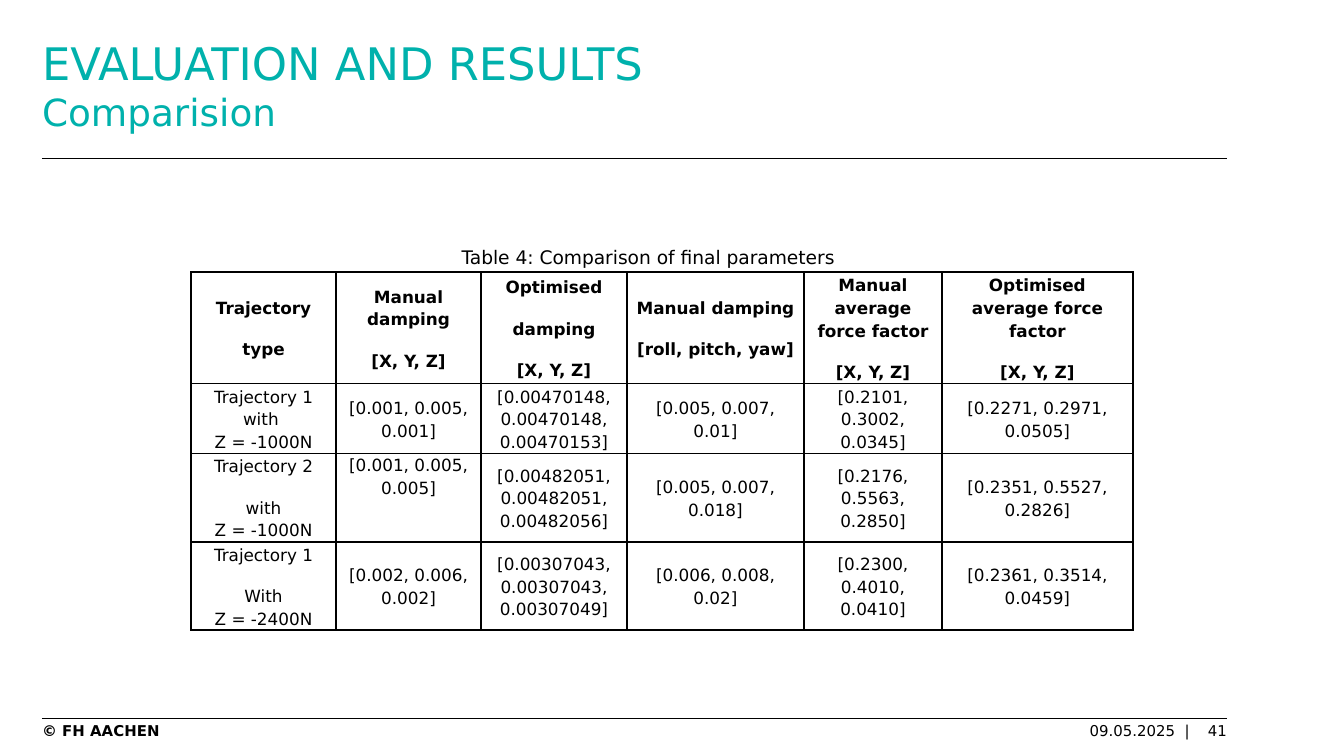
import pptx
import pptx.util
import pptx.dml.color
import pptx.enum.text
import pptx.enum.shapes
import pptx.oxml

PX = 6804
FACE = "DejaVu Sans"
TEAL = pptx.dml.color.RGBColor(0x00, 0xB1, 0xAC)
BLACK = pptx.dml.color.RGBColor(0x00, 0x00, 0x00)
ALIGN = pptx.enum.text.PP_ALIGN
ANCHOR = pptx.enum.text.MSO_ANCHOR
NS = "http://schemas.openxmlformats.org/drawingml/2006/main"


def style(font, size, color=BLACK, bold=False):
    font.name = FACE
    font.size = pptx.util.Pt(size)
    font.bold = bold
    font.color.rgb = color


def label(text, box, size, align, bold=False, inset=True):
    shape = slide.shapes.add_textbox(*[n * PX for n in box])
    frame = shape.text_frame
    frame.word_wrap = True
    if not inset:
        frame.margin_left = frame.margin_right = 0
        frame.margin_top = frame.margin_bottom = 0
    para = frame.paragraphs[0]
    para.text = text
    para.alignment = align
    style(para.font, size, bold=bold)


deck = pptx.Presentation()
deck.slide_width = 1344 * PX
deck.slide_height = 756 * PX
slide = deck.slides.add_slide(deck.slide_layouts[5])

for y in (158, 718):
    rule = slide.shapes.add_connector(
        pptx.enum.shapes.MSO_CONNECTOR.STRAIGHT, 42 * PX, y * PX, 1227 * PX, y * PX)
    rule.line.color.rgb = BLACK
    rule.line.width = pptx.util.Pt(0.5)
    rule._element.spPr.append(pptx.oxml.parse_xml(f'<a:effectLst xmlns:a="{NS}"/>'))

title = slide.shapes.title
title.left, title.top, title.width, title.height = [n * PX for n in (42, 32, 1185, 106)]
frame = title.text_frame
frame.margin_left = frame.margin_right = frame.margin_top = frame.margin_bottom = 0
frame.vertical_anchor = ANCHOR.MIDDLE
frame.word_wrap = True
frame.text = "EVALUATION AND RESULTS\vComparision"
frame.paragraphs[0].alignment = ALIGN.LEFT
for run, size in zip(frame.paragraphs[0].runs, (24, 20)):
    style(run.font, size, TEAL)

label("09.05.2025  |", (1073, 722, 117, 14), 8, ALIGN.RIGHT, inset=False)
label("41", (1183, 722, 44, 14), 8, ALIGN.RIGHT, inset=False)
label("© FH AACHEN", (42, 722, 843, 14), 8, ALIGN.LEFT, bold=True, inset=False)

data = [
    ["Trajectory\ntype", "Manual damping\n[X, Y, Z]", "Optimised\ndamping\n[X, Y, Z]",
     "Manual damping\n[roll, pitch, yaw]", "Manual average force factor\n[X, Y, Z]",
     "Optimised average force factor\n[X, Y, Z]"],
    ["Trajectory 1 with \vZ = -1000N", "[0.001, 0.005, 0.001]",
     "[0.00470148, 0.00470148, 0.00470153]", "[0.005, 0.007, 0.01]",
     "[0.2101, 0.3002, 0.0345]", "[0.2271, 0.2971, 0.0505]"],
    ["Trajectory 2\nwith\vZ = -1000N", "[0.001, 0.005, 0.005]",
     "[0.00482051, 0.00482051, 0.00482056]", "[0.005, 0.007, 0.018]",
     "[0.2176, 0.5563, 0.2850]", "[0.2351, 0.5527, 0.2826]"],
    ["Trajectory 1\nWith\vZ = -2400N", "[0.002, 0.006, 0.002]",
     "[0.00307043, 0.00307043, 0.00307049]", "[0.006, 0.008, 0.02]",
     "[0.2300, 0.4010, 0.0410]", "[0.2361, 0.3514, 0.0459]"],
]
cols = [145, 145, 146, 177, 138, 191]
rows = [109, 68, 87, 87]
table = slide.shapes.add_table(
    len(rows), len(cols), 191 * PX, 272 * PX, sum(cols) * PX, sum(rows) * PX).table
table.first_row = False
table.horz_banding = False
for col, width in zip(table.columns, cols):
    col.width = width * PX
for row, height in zip(table.rows, rows):
    row.height = height * PX

for r, line in enumerate(data):
    for c, text in enumerate(line):
        cell = table.cell(r, c)
        cell.margin_left = cell.margin_right = 9 * PX
        cell.margin_top = cell.margin_bottom = 0
        cell.vertical_anchor = ANCHOR.TOP if (r, c) == (2, 1) else ANCHOR.MIDDLE
        cell.text_frame.text = text
        for para in cell.text_frame.paragraphs:
            para.alignment = ALIGN.CENTER
            para.line_spacing = 1.15
            para.space_after = pptx.util.Pt(10)
            style(para.font, 9, bold=r == 0)
        props = cell._tc.get_or_add_tcPr()
        for side in "LRTB":
            props.append(pptx.oxml.parse_xml(
                f'<a:ln{side} xmlns:a="{NS}" w="12700"><a:solidFill>'
                f'<a:srgbClr val="{BLACK}"/></a:solidFill></a:ln{side}>'))
        cell.fill.background()

label("Table 4: Comparison of final parameters", (312, 239, 672, 36), 10, ALIGN.CENTER)

deck.save("out.pptx")
